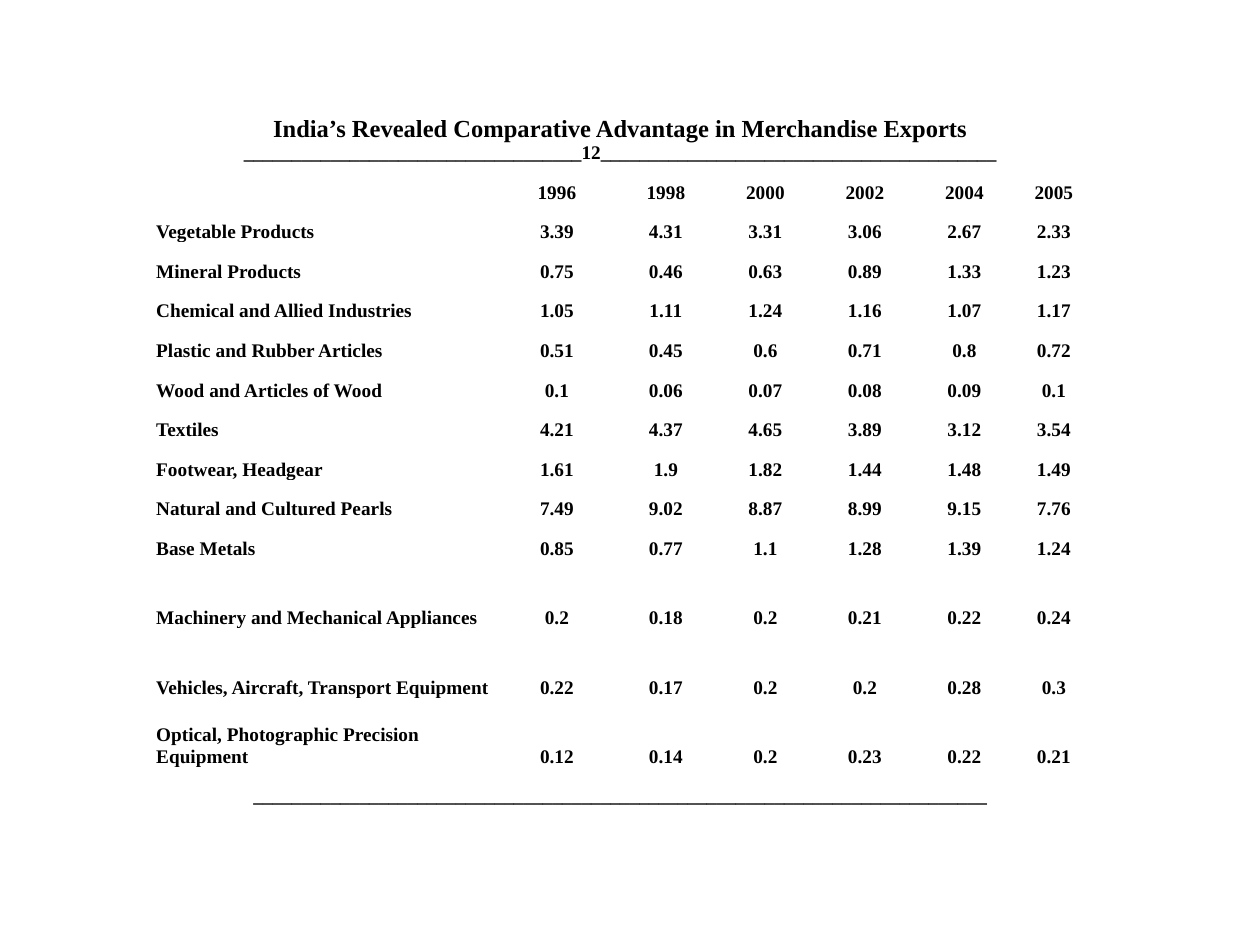
from dataclasses import dataclass

from pptx import Presentation
from pptx.dml.color import RGBColor
from pptx.enum.text import MSO_ANCHOR, PP_ALIGN
from pptx.table import Table, _Cell
from pptx.util import Inches, Pt

BLACK = RGBColor(0x00, 0x00, 0x00)
FONT = "Times New Roman"
TITLE = "India’s Revealed Comparative Advantage in Merchandise Exports"
TITLE_RULE = "_" * 35 + "12" + "_" * 41
CLOSING_RULE = "_" * 76
YEARS = ("1996", "1998", "2000", "2002", "2004", "2005")
COLUMN_WIDTHS = [Inches(width) for width in (2.78, 0.94, 0.79, 0.79, 0.79, 0.79, 0.63)]
SHORT_ROW = Inches(2.2) // 7
TALL_ROW = Inches(0.55)


@dataclass(frozen=True)
class ExportGroup:
    name: str
    advantages: str
    height: int = SHORT_ROW


GROUPS = (
    ExportGroup("Vegetable Products", "3.39 4.31 3.31 3.06 2.67 2.33"),
    ExportGroup("Mineral Products", "0.75 0.46 0.63 0.89 1.33 1.23"),
    ExportGroup("Chemical and Allied Industries", "1.05 1.11 1.24 1.16 1.07 1.17"),
    ExportGroup("Plastic and Rubber Articles", "0.51 0.45 0.6 0.71 0.8 0.72"),
    ExportGroup("Wood and Articles of Wood", "0.1 0.06 0.07 0.08 0.09 0.1"),
    ExportGroup("Textiles", "4.21 4.37 4.65 3.89 3.12 3.54"),
    ExportGroup("Footwear, Headgear", "1.61 1.9 1.82 1.44 1.48 1.49"),
    ExportGroup("Natural and Cultured Pearls", "7.49 9.02 8.87 8.99 9.15 7.76"),
    ExportGroup("Base Metals", "0.85 0.77 1.1 1.28 1.39 1.24"),
    ExportGroup("Machinery and Mechanical Appliances", "0.2 0.18 0.2 0.21 0.22 0.24", TALL_ROW),
    ExportGroup("Vehicles, Aircraft, Transport Equipment", "0.22 0.17 0.2 0.2 0.28 0.3", TALL_ROW),
    ExportGroup("Optical, Photographic Precision Equipment", "0.12 0.14 0.2 0.23 0.22 0.21", TALL_ROW),
)


def write_line(cell: _Cell, text: str, *, size: float = 11,
               align: PP_ALIGN = PP_ALIGN.CENTER, new_paragraph: bool = False) -> None:
    frame = cell.text_frame
    para = frame.add_paragraph() if new_paragraph else frame.paragraphs[0]
    para.alignment = align
    span = para.add_run()
    span.text = text
    span.font.name = FONT
    span.font.size = Pt(size)
    span.font.bold = True
    span.font.color.rgb = BLACK


def prepare_cells(table: Table) -> None:
    for cell in table.iter_cells():
        cell.fill.background()
        cell.vertical_anchor = MSO_ANCHOR.BOTTOM
        cell.margin_left = cell.margin_right = Inches(0.07)
        cell.margin_top = cell.margin_bottom = 0


def merge_row(table: Table, row: int) -> _Cell:
    cell = table.cell(row, 0)
    cell.merge(table.cell(row, len(COLUMN_WIDTHS) - 1))
    return cell


def write_values(table: Table, row: int, values: tuple[str, ...] | list[str]) -> None:
    for column, value in enumerate(values, start=1):
        write_line(table.cell(row, column), value)


def main() -> None:
    deck = Presentation()
    deck.slide_width, deck.slide_height = Inches(10), Inches(7.5)
    page = deck.slides.add_slide(deck.slide_layouts[6])

    heights = [TALL_ROW, SHORT_ROW, *(group.height for group in GROUPS), SHORT_ROW]
    table = page.shapes.add_table(
        len(heights), len(COLUMN_WIDTHS), Inches(1.17), Inches(0.75),
        sum(COLUMN_WIDTHS), sum(heights),
    ).table
    table.first_row = table.horz_banding = False
    for column, width in zip(table.columns, COLUMN_WIDTHS):
        column.width = width
    for row, height in zip(table.rows, heights):
        row.height = height
    prepare_cells(table)

    heading = merge_row(table, 0)
    write_line(heading, TITLE, size=14)
    write_line(heading, TITLE_RULE, new_paragraph=True)
    write_values(table, 1, YEARS)
    for row, group in enumerate(GROUPS, start=2):
        write_line(table.cell(row, 0), group.name, align=PP_ALIGN.LEFT)
        write_values(table, row, group.advantages.split())
    write_line(merge_row(table, len(heights) - 1), CLOSING_RULE)

    deck.save("out.pptx")


if __name__ == "__main__":
    main()
